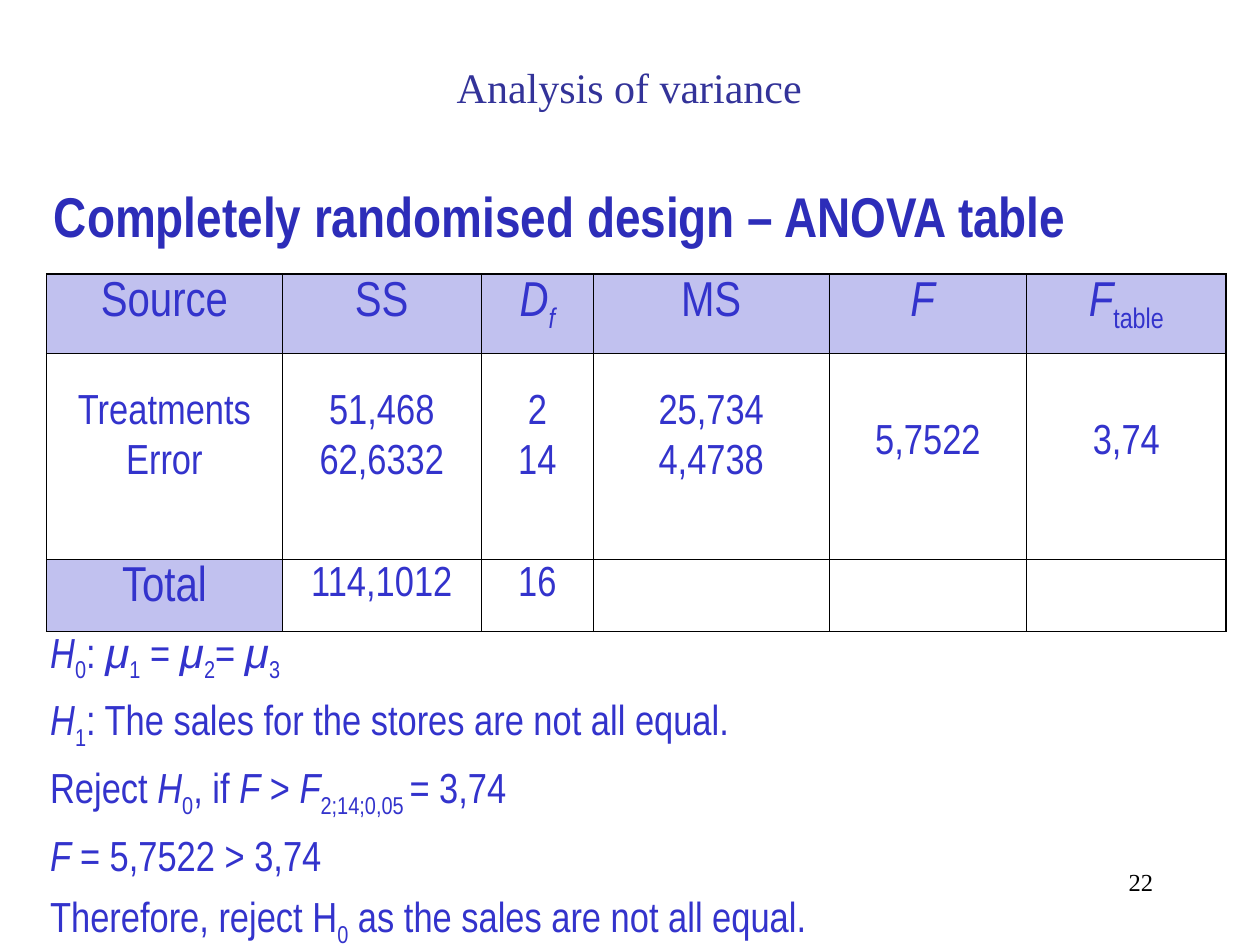
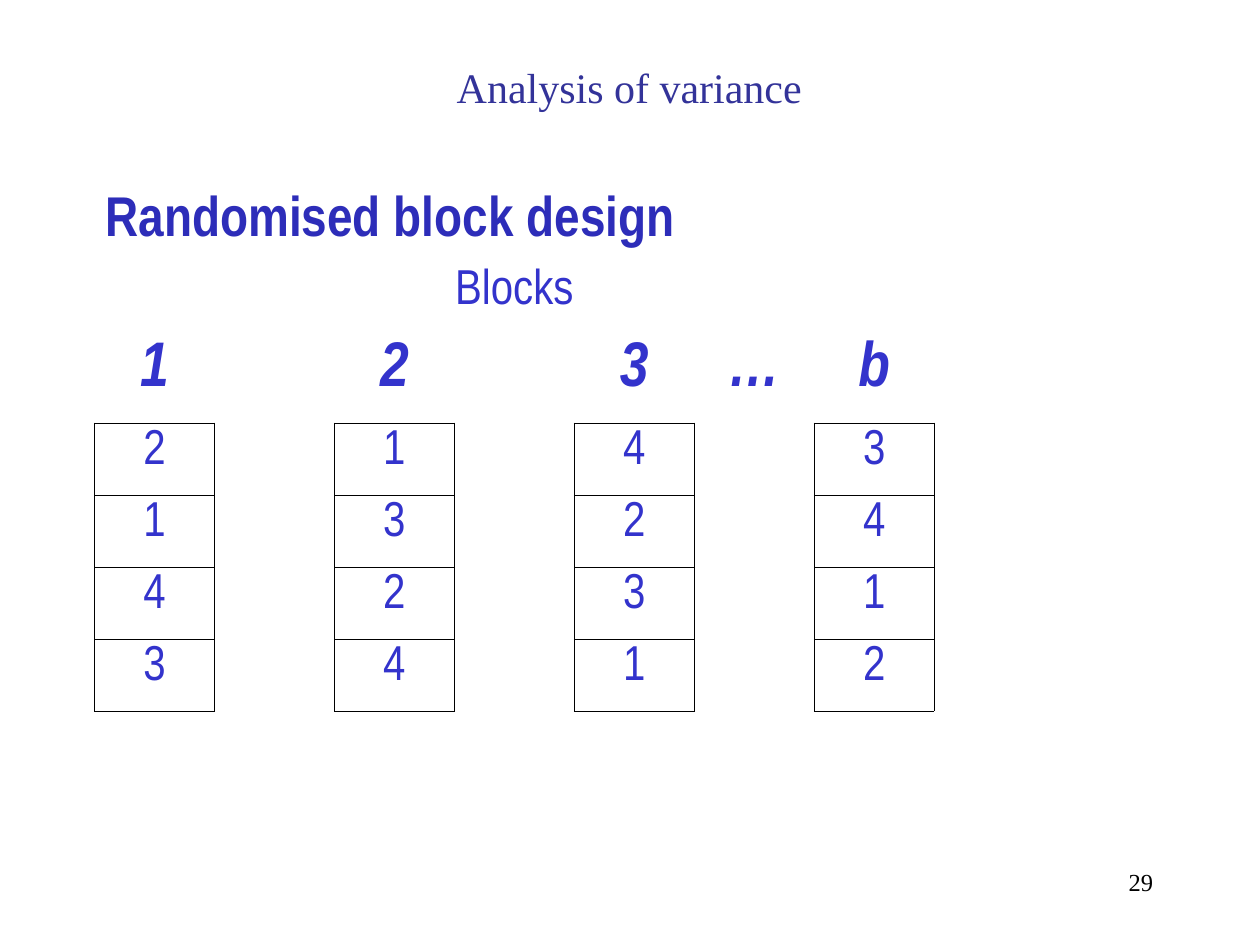
from pptx import Presentation
from pptx.dml.color import RGBColor
from pptx.enum.text import PP_ALIGN as Align
from pptx.oxml.ns import qn
from pptx.util import Inches, Pt
from lxml.etree import SubElement

TITLE_BLUE = RGBColor(0x33, 0x33, 0x99)
HEADING_BLUE = RGBColor(0x2D, 0x2D, 0xB9)
TEXT_BLUE = RGBColor(0x33, 0x33, 0xCC)
BLACK = RGBColor(0, 0, 0)
SERIF, NARROW = "Times New Roman", "Arial Narrow"
THIN, THICK, NONE = 0.45, 1.08, 0

deck = Presentation()
deck.slide_width, deck.slide_height = Inches(10), Inches(7.5)
COL, ROW = deck.slide_width / 100, deck.slide_height / 100


def write(frame, lines, size, color=TEXT_BLUE, font=NARROW, align=Align.CENTER,
          before=0, **looks):
    """Fill frame; a line is a string or (text, marks) runs, i = italic, s = subscript."""
    for number, line in enumerate(lines):
        paragraph = frame.add_paragraph() if number else frame.paragraphs[0]
        paragraph.alignment = align
        paragraph.space_before = Pt(before)
        for text, marks in [(line, "")] if isinstance(line, str) else line:
            run = paragraph.add_run()
            run.text = text
            run.font.color.rgb = color
            style = {"size": Pt(size), "name": font, "italic": "i" in marks, **looks}
            for name, value in style.items():
                setattr(run.font, name, value)
            if "s" in marks:
                run._r.get_or_add_rPr().set("baseline", "-25000")


def finish_cell(cell, left, right, top, bottom, tinted=False):
    """Draw the four borders, given as widths in points, then the fill."""
    props = cell._tc.get_or_add_tcPr()
    for side, width in zip("LRTB", (left, right, top, bottom)):
        line = SubElement(props, qn(f"a:ln{side}"), w=str(Pt(width)))
        if width:
            paint = SubElement(line, qn("a:solidFill"))
            SubElement(paint, qn("a:srgbClr"), val=str(BLACK))
        else:
            SubElement(line, qn("a:noFill"))
    if tinted:
        cell.fill.solid()
        cell.fill.fore_color.rgb = TEXT_BLUE
        tint = props.find(qn("a:solidFill")).find(qn("a:srgbClr"))
        SubElement(tint, qn("a:alpha"), val="30000")
    else:
        cell.fill.background()


# Shared frame: page number, title and heading
pages = [
    ("22", "Completely randomised design – ANOVA table", 3.3, 18.5),
    ("29", "Randomised block design", 7.4, 18.4),
]
slides = []
for page, heading, left, top in pages:
    slide = deck.slides.add_slide(deck.slide_layouts[6])
    slides.append(slide)
    parts = [
        ((71.7, 91.1, 20.8, 6.7), page,
         dict(size=14, color=BLACK, font=SERIF, align=Align.RIGHT)),
        ((18.3, 5.9, 63.3, 12.4), "Analysis of variance",
         dict(size=24, color=TITLE_BLUE, font=SERIF)),
        ((left, top, 87, 8.5), heading,
         dict(size=32, color=HEADING_BLUE, align=Align.LEFT, bold=True)),
    ]
    for (x, y, w, h), text, looks in parts:
        box = slide.shapes.add_textbox(int(x * COL), int(y * ROW), int(w * COL), int(h * ROW))
        box.text_frame.word_wrap = True
        write(box.text_frame, [text], **looks)
anova_slide, block_slide = slides

# ANOVA table
anova_rows = [
    ["Source", "SS", [("D", "i"), ("f", "is")], "MS", [("F ", "i")],
     [("F", "i"), ("table", "s")]],
    [("Treatments", "Error"), ("51,468", "62,6332"), ("2", "14"),
     ("25,734", "4,4738"), ("5,7522",), ("3,74",)],
    ["Total", "114,1012", "16", "", "", ""],
]
widths, heights = [18.7, 15.8, 8.9, 18.7, 15.7, 15.8], [8.4, 21.8, 7.6]
anova = anova_slide.shapes.add_table(
    3, 6, int(3.7 * COL), int(29 * ROW), int(sum(widths) * COL), int(sum(heights) * ROW)).table
anova.first_row = anova.horz_banding = False
for column, width in zip(anova.columns, widths):
    column.width = int(width * COL)
for row, height in zip(anova.rows, heights):
    row.height = int(height * ROW)
for r, entries in enumerate(anova_rows):
    for c, entry in enumerate(entries):
        cell = anova.cell(r, c)
        is_label = r == 0 or (r == 2 and c == 0)
        finish_cell(cell, THICK if c == 0 else THIN, THICK if c == 5 else THIN,
                    THICK if r == 0 else THIN, THICK if r == 2 else THIN, is_label)
        lines = entry if r == 1 else [entry]
        if r == 1:
            cell.margin_top = Inches(0.32 if len(lines) == 2 else 0.56)
        if entry:
            write(cell.text_frame, lines, 28 if is_label else 24, before=7 if is_label else 6)

# Hypotheses and decision
decision = [
    [("H", "i"), ("0", "s"), (": ", ""), ("μ", "i"), ("1", "s"), (" = ", ""),
     ("μ", "i"), ("2", "s"), ("= ", ""), ("μ", "i"), ("3", "s")],
    [("H", "i"), ("1", "s"), (": The sales for the stores are not all equal.", "")],
    [("Reject ", ""), ("H", "i"), ("0", "s"), (", if ", ""), ("F", "i"), (" > ", ""),
     ("F", "i"), ("2;14;0,05 ", "s"), ("= 3,74", "")],
    [("F ", "i"), ("= 5,7522 > 3,74", "")],
    [("Therefore, reject H", ""), ("0", "s"), (" as the sales are not all equal.", "")],
]
box = anova_slide.shapes.add_textbox(
    int(3 * COL), int(65.6 * ROW), int(95.3 * COL), int(30.1 * ROW))
box.text_frame.word_wrap = True
write(box.text_frame, decision, 24, align=Align.LEFT, before=6)

# Block layout: treatments stand in every other column, under the block's number
block_rows = ["", ["1", "", "2", "", "3", "…", "b"], "2143", "1324", "4231", "3412"]
block_width, block_height, header_height = 9.52, 7.62, 9.3
blocks = block_slide.shapes.add_table(
    6, 7, int(7.5 * COL), int(27.8 * ROW), int(7 * block_width * COL),
    int((5 * block_height + header_height) * ROW)).table
blocks.first_row = blocks.horz_banding = False
for column in blocks.columns:
    column.width = int(block_width * COL)
for r, row in enumerate(blocks.rows):
    row.height = int((header_height if r == 1 else block_height) * ROW)
    for c in range(7):
        cell = blocks.cell(r, c)
        is_block = c % 2 == 0
        inner = r >= 2
        side_left = THIN if inner else NONE
        side_right = THIN if inner else NONE
        finish_cell(cell, side_left, side_right,
                    THIN if inner and is_block else NONE,
                    THIN if r >= 1 and is_block else NONE)
        if r == 1 and block_rows[r][c]:
            write(cell.text_frame, [[(block_rows[r][c], "i")]], 36, before=9, bold=True)
        elif inner and is_block:
            write(cell.text_frame, [block_rows[r][c // 2]], 28, before=7)
blocks.cell(0, 0).merge(blocks.cell(0, 6))
write(blocks.cell(0, 0).text_frame, ["Blocks"], 28, before=7)

deck.save("out.pptx")
